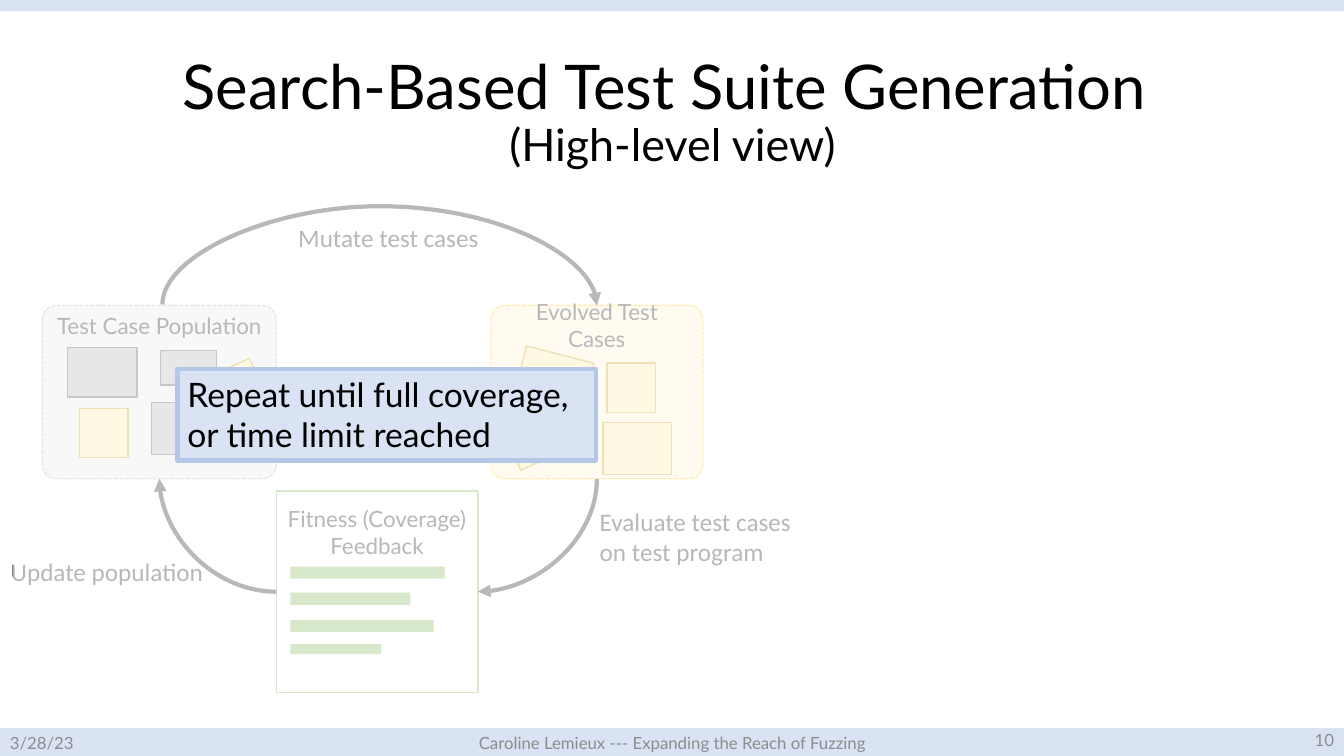
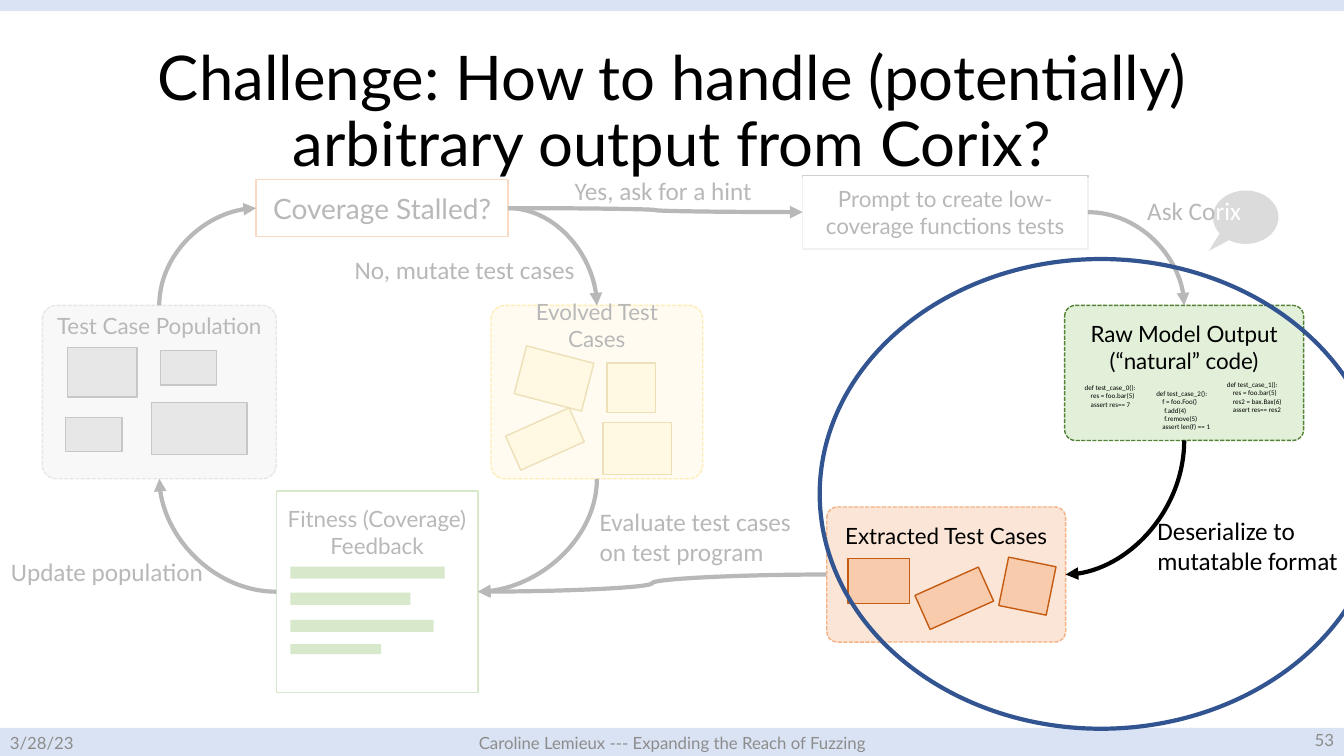
from dataclasses import dataclass
from typing import NamedTuple

from lxml import etree
from pptx import Presentation
from pptx import util as u
from pptx.dml.color import RGBColor
from pptx.enum import dml, shapes, text
from pptx.oxml.ns import qn

KIND = shapes.MSO_SHAPE
MID, TOP = text.MSO_ANCHOR.MIDDLE, text.MSO_ANCHOR.TOP
LEFT, CENTER, RIGHT = text.PP_ALIGN.LEFT, text.PP_ALIGN.CENTER, text.PP_ALIGN.RIGHT


@dataclass(frozen=True)
class Theme:
    """Colours, fonts and type sizes."""
    ink: str = "000000"
    white: str = "FFFFFF"
    band: str = "DAE3F3"
    edge: str = "B4C7E7"
    ring: str = "325491"
    note: str = "8C8C8C"
    bubble: str = "808080"
    green: str = "70AD47"
    gray: tuple = ("AFABAB", "3B3838")
    gold: tuple = ("FFE699", "BF9000")
    peach: tuple = ("F8CBAD", "C55A11")
    main: str = "Lato"
    side: str = "Calibri"
    title: int = 44
    sub: int = 32
    big: int = 24
    ask: int = 20
    label: int = 18
    body: int = 16
    foot: int = 12
    code: int = 5


T = Theme()


class Area(NamedTuple):
    x: float
    y: float
    w: float
    h: float


class Box(NamedTuple):
    """A captioned box; cap is the height of its caption zone (0: all)."""
    area: Area
    words: str
    fill: str
    line: str
    cap: float = 0
    soft: bool = True
    pad: float = 0.1
    size: int = T.body


class Tile(NamedTuple):
    area: Area
    spin: float = 0


class Label(NamedTuple):
    area: Area
    words: str


class Code(NamedTuple):
    x: float
    y: float
    rows: tuple  # (indent, words)


# Content
POP = Box(Area(0.42, 3.03, 2.32, 1.72), "Test Case Population", "E7E6E6", "AFABAB", 0.39, pad=0.08)
EVO = Box(Area(4.87, 3.03, 2.1, 1.72), "Evolved Test Cases", "FFF2CC", "FFC000", 0.39, pad=0.15)
FIT = Box(Area(2.74, 4.87, 2, 2), "Fitness (Coverage) Feedback", T.white, T.green, 0.82, False)
STALL = Box(Area(2.54, 1.78, 2.5, 0.57), "Coverage Stalled?", T.white, "ED7D31",
            soft=False, size=T.ask)
HINT = Box(Area(7.96, 1.74, 2.83, 0.73), "Prompt to create low-coverage functions tests",
           T.white, "D0CECE", soft=False)
RAW = Box(Area(10.56, 3.03, 2.37, 1.34), "Raw Model Output (“natural” code)",
          "E2F0D9", "548235", 0.82)
EXTRA = Box(Area(8.2, 5.03, 2.37, 1.34), "Extracted Test Cases", "FBE5D6", "F4B183", 0.56)

OLD = [Tile(Area(0.67, 3.45, 0.69, 0.49)), Tile(Area(1.59, 3.48, 0.56, 0.34)),
       Tile(Area(1.5, 3.99, 0.95, 0.52))]
FOURTH = [Tile(Area(0.65, 4.14, 0.56, 0.34))]
GROWN = [Tile(Area(5.15, 3.51, 0.69, 0.49), 14.5), Tile(Area(6.02, 3.6, 0.48, 0.49)),
         Tile(Area(5.06, 4.17, 0.69, 0.37), 335.9), Tile(Area(5.98, 4.19, 0.68, 0.52))]
KEPT = [Tile(Area(1.89, 3.68, 0.69, 0.37), 335.9), Tile(Area(0.79, 4.05, 0.48, 0.49))]
DRAWN = [Tile(Area(9.95, 5.57, 0.48, 0.49), 11.5), Tile(Area(9.12, 5.75, 0.69, 0.37), 335.9),
         Tile(Area(8.41, 5.54, 0.61, 0.45))]
BARS = [Area(2.88, 5.62, 1.53, 0.12), Area(2.88, 5.88, 1.19, 0.12),
        Area(2.88, 6.15, 1.42, 0.12), Area(2.88, 6.39, 0.9, 0.1)]

LOOP = [Label(Area(5.85, 4.97, 2.24, 0.71), "Evaluate test cases on test program"),
        Label(Area(0.01, 5.47, 2.24, 0.4), "Update population")]
FORK = [Label(Area(3.42, 2.47, 2.5, 0.4), "No, mutate test cases"),
        Label(Area(5.6, 1.69, 2.1, 0.4), "Yes, ask for a hint")]

CODES = [
    Code(10.66, 3.69, ((0, "def test_case_0():"), (0.06, "res = foo.bar(5)"),
                       (0.06, "assert res== 7"))),
    Code(12.07, 3.7, ((0, "def test_case_1():"), (0.06, "res = foo.bar(5)"),
                      (0.06, "res2 = bax.Bax(6)"), (0.06, "assert res== res2"))),
    Code(11.37, 3.83, ((0, "def test_case_2():"), (0.06, "f = foo.Foo()"),
                       (0.08, "f.add(4)"), (0.08, "f.remove(5)"),
                       (0.06, "assert len(f) == 1"))),
]


# Basic parts
def rgb(tone: str) -> RGBColor:
    return RGBColor.from_string(tone)


def spot(area: Area) -> list:
    return [u.Inches(side) for side in area]


def add(para, words: str, size: int, font: str = T.main, tone: str = T.ink) -> None:
    run = para.add_run()
    run.text = words
    run.font.size, run.font.name = u.Pt(size), font
    run.font.color.rgb = rgb(tone)


def form(slide, area: Area, fill: str = "", line: str = "", kind=KIND.RECTANGLE,
         width: float = 1):
    item = slide.shapes.add_shape(kind, *spot(area))
    item.shadow.inherit = False
    if fill:
        item.fill.solid()
        item.fill.fore_color.rgb = rgb(fill)
    else:
        item.fill.background()
    if line:
        item.line.color.rgb = rgb(line)
        item.line.width = u.Pt(width)
    else:
        item.line.fill.background()
    return item


def field(slide, area: Area, align=LEFT, anchor=TOP):
    frame = slide.shapes.add_textbox(*spot(area)).text_frame
    frame.word_wrap, frame.vertical_anchor = True, anchor
    frame.paragraphs[0].alignment = align
    return frame


def block(slide, box: Box):
    kind = KIND.ROUNDED_RECTANGLE if box.soft else KIND.RECTANGLE
    item = form(slide, box.area, box.fill, box.line, kind)
    if box.soft:
        item.adjustments[0] = 0.08
        item.line.dash_style = dml.MSO_LINE.SQUARE_DOT
    frame = item.text_frame
    frame.word_wrap, frame.vertical_anchor = True, MID
    frame.margin_left = frame.margin_right = u.Inches(box.pad)
    frame.margin_top = 0
    frame.margin_bottom = u.Inches(box.area.h - box.cap if box.cap else 0)
    frame.paragraphs[0].alignment = CENTER
    add(frame.paragraphs[0], box.words, box.size)
    return item


def tiles(slide, group: list, tones: tuple) -> None:
    for tile in group:
        form(slide, tile.area, *tones).rotation = tile.spin


def labels(slide, group: list) -> None:
    for label in group:
        add(field(slide, label.area).paragraphs[0], label.words, T.label, T.side)


def veil(slide, area: Area) -> None:
    item = form(slide, area, T.white)
    tone = item.fill._xPr.find(qn("a:solidFill"))[0]
    etree.SubElement(tone, qn("a:alpha"), val="72000")


# Curved arrows
def link(slide, start, out: int, end, into: int):
    """S-shaped arrow between two box sides."""
    wire = slide.shapes.add_connector(shapes.MSO_CONNECTOR.CURVE, 0, 0, 0, 0)
    wire.begin_connect(start, out)
    wire.end_connect(end, into)
    wire.line.color.rgb, wire.line.width = rgb(T.ink), u.Pt(3)
    etree.SubElement(wire.line._get_or_add_ln(), qn("a:tailEnd"), type="triangle")
    etree.SubElement(wire._element.spPr, qn("a:effectLst"))
    return wire


def turn(wire, quarter: int, flip: bool = False):
    """Turn the frame clockwise by quarters, keeping both ends in place."""
    left, top, wide, high = wire.left, wire.top, wire.width, wire.height
    frame = wire._element.spPr.find(qn("a:xfrm"))
    for key in ("flipH", "flipV"):
        frame.attrib.pop(key, None)
    frame.set("rot", str(quarter * 5400000))
    if flip:
        frame.set("flipH", "1")
    if quarter % 2:
        wire.left, wire.top = left + (wide - high) // 2, top + (high - wide) // 2
        wire.width, wire.height = high, wide
    return wire._element.spPr.find(qn("a:prstGeom"))


def bend(slide, start, out: int, end, into: int) -> None:
    """Clockwise quarter arc; its turn follows from the side it leaves."""
    quarter = {3: 0, 2: 1, 1: 2, 0: 3}[out]
    turn(link(slide, start, out, end, into), quarter).set("prst", "curvedConnector2")


def arch(slide, start, end, lift: float) -> None:
    """Arrow that rises from one top side and lands on another."""
    wire = link(slide, start, 0, end, 0)
    rate = -round(u.Inches(lift) / wire.height * 100000)
    shape = turn(wire, 3, True)
    guides = shape.find(qn("a:avLst"))
    if guides is None:
        guides = etree.SubElement(shape, qn("a:avLst"))
    etree.SubElement(guides, qn("a:gd"), name="adj1", fmla=f"val {rate}")


# Shared slide parts
def base(deck, title: str, page: str, sub: str = ""):
    slide = deck.slides.add_slide(deck.slide_layouts[6])
    for area in (Area(0, 7.22, 13.33, 0.28), Area(0, 0, 13.33, 0.11)):
        form(slide, area, T.band)
    para = field(slide, Area(0.92, 0.4, 11.5, 1.45), CENTER, MID).paragraphs[0]
    para.line_spacing = 0.9
    add(para, title, T.title)
    if sub:
        para.add_line_break()
        add(para, sub, T.sub)
    for x, y, wide, align, words in (
            (0, 7.25, 3, LEFT, "3/28/23"),
            (4.42, 7.25, 4.5, CENTER, "Caroline Lemieux --- Expanding the Reach of Fuzzing"),
            (10.33, 7.22, 3, RIGHT, page)):
        foot = field(slide, Area(x, y, wide, 0.24), align, MID)
        add(foot.paragraphs[0], words, T.foot, tone=T.note)
    return slide


def cycle(slide) -> tuple:
    """The loop both slides show: population, evolved cases, feedback."""
    pop, evo, fit = (block(slide, box) for box in (POP, EVO, FIT))
    tiles(slide, OLD, T.gray)
    tiles(slide, GROWN, T.gold)
    for bar in BARS:
        form(slide, bar, T.green)
    bend(slide, evo, 2, fit, 3)
    bend(slide, fit, 1, pop, 2)
    labels(slide, LOOP)
    return pop, evo, fit


# Slides
def search(deck) -> None:
    slide = base(deck, "Search-Based Test Suite Generation ", "10", "(High-level view)")
    perch = form(slide, Area(1.52, 3.02, 0.18, 0.14), T.white)
    _, evo, _ = cycle(slide)
    arch(slide, perch, evo, 0.99)
    labels(slide, [Label(Area(2.86, 2.16, 2.1, 0.4), "Mutate test cases")])
    tiles(slide, KEPT, T.gold)
    veil(slide, Area(0.13, 1.9, 7.96, 5.2))
    frame = form(slide, Area(1.76, 3.66, 4.15, 0.91), T.band, T.edge, width=3).text_frame
    frame.word_wrap, frame.vertical_anchor = True, TOP
    frame.add_paragraph()
    for para, words in zip(frame.paragraphs,
                           ("Repeat until full coverage,", "or time limit reached")):
        para.alignment = LEFT
        add(para, words, T.big)


def output(deck) -> None:
    slide = base(deck, "Challenge: How to handle (potentially) "
                       "arbitrary output from Corix?", "53")
    pop, evo, fit = cycle(slide)
    tiles(slide, FOURTH, T.gray)
    stall, hint = block(slide, STALL), block(slide, HINT)
    bend(slide, pop, 0, stall, 1)
    bend(slide, stall, 3, evo, 0)
    link(slide, stall, 3, hint, 1)
    labels(slide, FORK)

    # Model call, faded with the rest
    bubble = form(slide, Area(12.03, 1.89, 0.65, 0.53), T.bubble, kind=KIND.OVAL_CALLOUT)
    bubble.adjustments[0], bubble.adjustments[1] = -0.56, 0.63
    ask = field(slide, Area(11.28, 1.89, 2.04, 0.4)).paragraphs[0]
    add(ask, "Ask Co", T.label, T.side)
    add(ask, "rix", T.label, T.side, T.white)
    raw, extra = block(slide, RAW), block(slide, EXTRA)
    bend(slide, hint, 3, raw, 0)
    link(slide, extra, 1, fit, 3)
    veil(slide, Area(0.12, 1.76, 13.21, 5.21))

    # Focus, lifted above the veil
    for item in (raw, extra):
        slide.shapes._spTree.append(item._element)
    for code in CODES:
        frame = field(slide, Area(code.x, code.y, 0.76, 0.48), anchor=MID)
        frame.margin_right = 0
        for spot_no, (indent, words) in enumerate(code.rows):
            para = frame.add_paragraph() if spot_no else frame.paragraphs[0]
            para._p.get_or_add_pPr().set("marL", str(u.Inches(indent)))
            add(para, words, T.code, T.side)
    tiles(slide, DRAWN, T.peach)
    bend(slide, raw, 2, extra, 3)
    labels(slide, [Label(Area(11.38, 5.06, 2.04, 0.71), "Deserialize to mutatable format")])
    form(slide, Area(8.13, 2.57, 5.58, 4.66), line=T.ring, kind=KIND.OVAL, width=3)


def main() -> None:
    deck = Presentation()
    deck.slide_width, deck.slide_height = u.Inches(13.33), u.Inches(7.5)
    search(deck)
    output(deck)
    deck.save("out.pptx")


if __name__ == "__main__":
    main()
